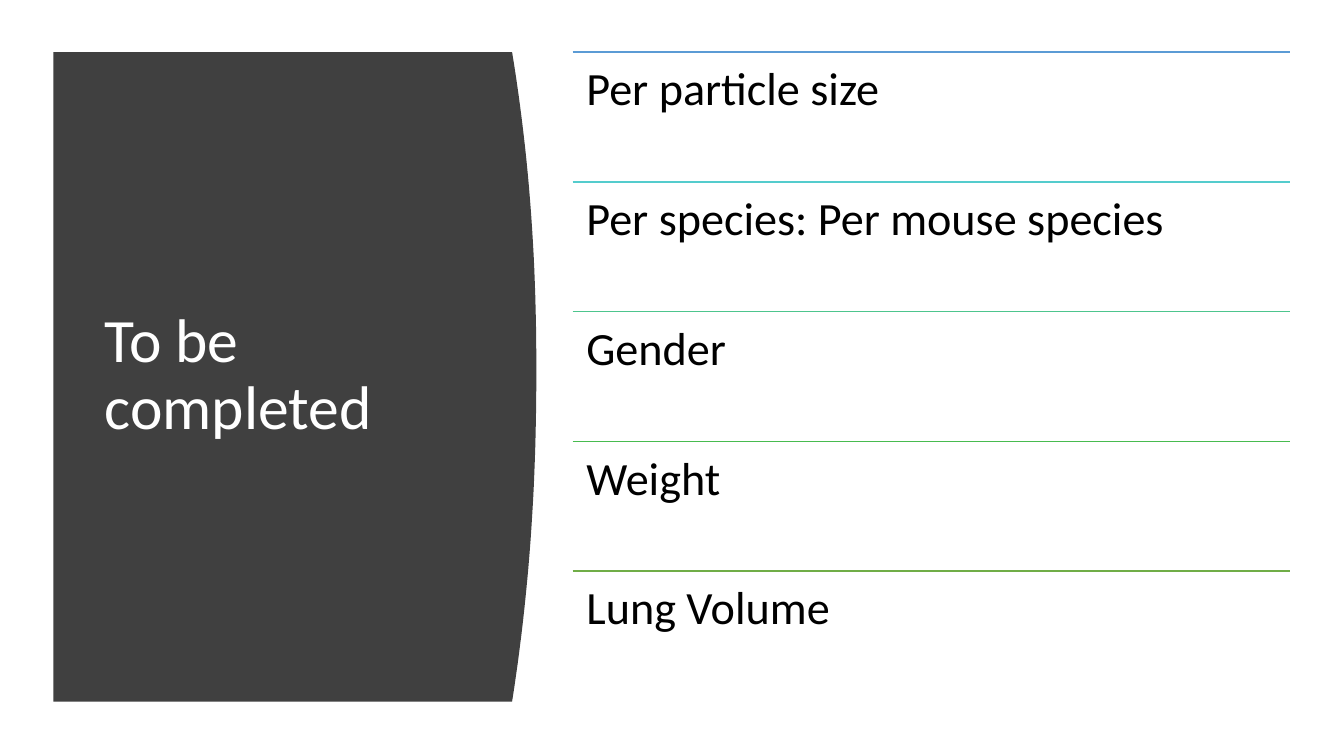
from dataclasses import dataclass

from lxml.etree import SubElement
from pptx import Presentation
from pptx.dml.color import RGBColor
from pptx.enum.shapes import MSO_CONNECTOR
from pptx.enum.text import MSO_ANCHOR
from pptx.oxml.ns import qn
from pptx.slide import Slide
from pptx.util import Pt

WHITE = RGBColor(0xFF, 0xFF, 0xFF)
BLACK = RGBColor(0x00, 0x00, 0x00)
CHARCOAL = RGBColor(0x40, 0x40, 0x40)

FONT = "Calibri"
PANEL_LEFT, PANEL_TOP, PANEL_BOTTOM = 38.16, 37.3, 501.1
PANEL_EDGE, BULGE, BULGE_Y = 365.8, 17.3, 264
CURVE_STEPS = 48
LIST_LEFT, LIST_WIDTH, ROW_HEIGHT = 408.96, 512.64, 92.66


@dataclass(frozen=True)
class Item:
    text: str
    color: RGBColor


@dataclass(frozen=True)
class TextArea:
    left: float
    top: float
    width: float
    height: float
    inset_x: float
    inset_y: float
    anchor: MSO_ANCHOR


ITEMS = [
    Item("Per particle size", RGBColor(0x5B, 0x9B, 0xD5)),
    Item("Per species: Per mouse species", RGBColor(0x54, 0xCC, 0xCD)),
    Item("Gender", RGBColor(0x4D, 0xC5, 0x8D)),
    Item("Weight", RGBColor(0x48, 0xBB, 0x4F)),
    Item("Lung Volume", RGBColor(0x70, 0xAD, 0x47)),
]


def panel_edge_x(y: float) -> float:
    """Return the x of the panel's bowed right edge at height y."""
    reach = BULGE_Y - PANEL_TOP if y < BULGE_Y else PANEL_BOTTOM - BULGE_Y
    return PANEL_EDGE + BULGE * (1 - (abs(y - BULGE_Y) / reach) ** 2.15)


def draw_panel(page: Slide) -> None:
    step = (PANEL_BOTTOM - PANEL_TOP) / CURVE_STEPS
    heights = [PANEL_TOP + step * index for index in range(CURVE_STEPS + 1)]
    edge = [(Pt(panel_edge_x(y)), Pt(y)) for y in heights]
    builder = page.shapes.build_freeform(Pt(PANEL_LEFT), Pt(PANEL_TOP))
    builder.add_line_segments(edge + [(Pt(PANEL_LEFT), Pt(PANEL_BOTTOM))], close=True)
    panel = builder.convert_to_shape()
    panel.shadow.inherit = False
    panel.fill.solid()
    panel.fill.fore_color.rgb = CHARCOAL
    panel.line.fill.background()


def draw_text(page: Slide, area: TextArea, text: str, size: float, color: RGBColor) -> None:
    box = page.shapes.add_textbox(Pt(area.left), Pt(area.top), Pt(area.width), Pt(area.height))
    frame = box.text_frame
    frame.word_wrap = True
    frame.vertical_anchor = area.anchor
    frame.margin_left = frame.margin_right = Pt(area.inset_x)
    frame.margin_top = frame.margin_bottom = Pt(area.inset_y)
    para = frame.paragraphs[0]
    para.line_spacing = 0.9
    span = para.add_run()
    span.text = text
    span.font.name = FONT
    span.font.size = Pt(size)
    span.font.color.rgb = color


def draw_rule(page: Slide, y: float, color: RGBColor) -> None:
    rule = page.shapes.add_connector(
        MSO_CONNECTOR.STRAIGHT, Pt(LIST_LEFT), Pt(y), Pt(LIST_LEFT + LIST_WIDTH), Pt(y)
    )
    rule.line.color.rgb = color
    rule.line.width = Pt(1)
    SubElement(rule._element.spPr, qn("a:effectLst"))


def main() -> None:
    deck = Presentation()
    deck.slide_width, deck.slide_height = Pt(960), Pt(540)
    page = deck.slides.add_slide(deck.slide_layouts[6])

    draw_panel(page)
    title_area = TextArea(67.68, 79.92, 269.28, 377.28, 7.2, 3.6, MSO_ANCHOR.MIDDLE)
    draw_text(page, title_area, "To be completed", 44, WHITE)

    for index, item in enumerate(ITEMS):
        top = PANEL_TOP + index * ROW_HEIGHT
        draw_rule(page, top, item.color)
        row = TextArea(LIST_LEFT, top, LIST_WIDTH, ROW_HEIGHT, 9.9, 9.9, MSO_ANCHOR.TOP)
        draw_text(page, row, item.text, 33, BLACK)

    deck.save("out.pptx")


if __name__ == "__main__":
    main()
